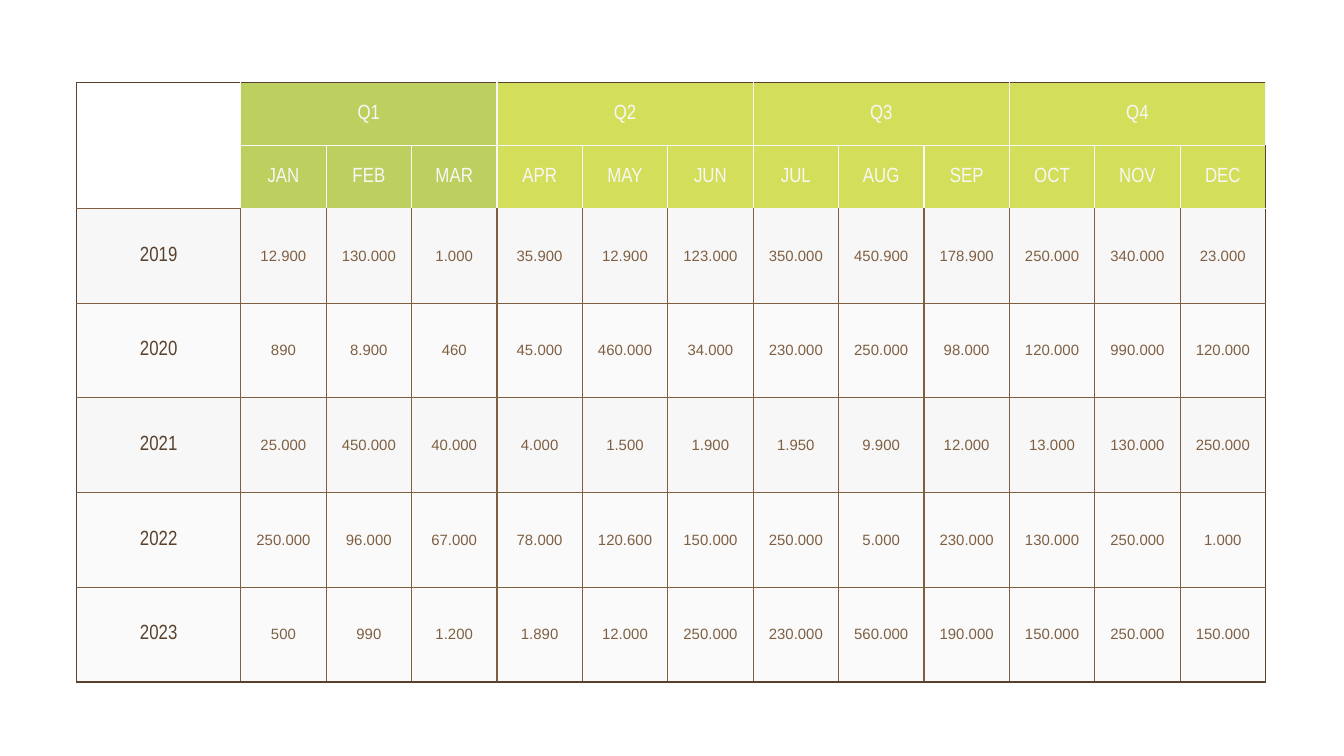
from lxml.etree import SubElement
from pptx import Presentation
from pptx.dml.color import RGBColor
from pptx.enum.text import MSO_ANCHOR, PP_ALIGN
from pptx.oxml.ns import qn
from pptx.util import Cm, Pt

COLORS = {
    "first_quarter": "BDCF5E",
    "quarter": "D3DE5A",
    "light": "F7F7F7",
    "frame": "58412D",
    "grid": "7F5F42",
}
MONTHS = "JAN FEB MAR APR MAY JUN JUL AUG SEP OCT NOV DEC".split()
YEARS = {
    "2019": "12.900 130.000 1.000 35.900 12.900 123.000 350.000 450.900 178.900 250.000 340.000 23.000",
    "2020": "890 8.900 460 45.000 460.000 34.000 230.000 250.000 98.000 120.000 990.000 120.000",
    "2021": "25.000 450.000 40.000 4.000 1.500 1.900 1.950 9.900 12.000 13.000 130.000 250.000",
    "2022": "250.000 96.000 67.000 78.000 120.600 150.000 250.000 5.000 230.000 130.000 250.000 1.000",
    "2023": "500 990 1.200 1.890 12.000 250.000 230.000 560.000 190.000 150.000 250.000 150.000",
}
HEADER_ROWS = 2
SOLID_YEARS = ("2019", "2021")
CELL_FORMAT = {
    "margin_left": Cm(0.1), "margin_right": Cm(0.1),
    "margin_top": Cm(0.05), "margin_bottom": Cm(0.05),
    "vertical_anchor": MSO_ANCHOR.MIDDLE,
}
LABEL_FONT = {"name": "Arial Narrow", "size": Pt(11)}
VALUE_FONT = {"name": "Arial", "size": Pt(8)}


def is_header(row, col):
    return row < HEADER_ROWS and col > 0


def add_border(cell, side, color):
    ln = SubElement(cell._tc.get_or_add_tcPr(), qn(f"a:ln{side}"), w=str(Pt(0.75)))
    fill = SubElement(ln, qn("a:solidFill"))
    SubElement(fill, qn("a:srgbClr"), val=COLORS[color])


prs = Presentation()
prs.slide_width, prs.slide_height = Cm(25.4), Cm(14.29)
s = prs.slides.add_slide(prs.slide_layouts[6])

# Cell texts: quarters, months, then one row per year
rows = [[""] + [f"Q{i // 3 + 1}" if i % 3 == 0 else "" for i in range(12)], [""] + MONTHS]
rows += [[year] + values.split() for year, values in YEARS.items()]
n_rows, n_cols = len(rows), len(rows[0])

# Table grid
width, label_width = Cm(22.47), Cm(3.1)
header_height, year_height = Cm(1.19), Cm(1.79)
height = HEADER_ROWS * header_height + len(YEARS) * year_height
table = s.shapes.add_table(n_rows, n_cols, Cm(1.45), Cm(1.56), width, height).table
table.first_row = table.horz_banding = False
for i, column in enumerate(table.columns):
    column.width = (width - label_width) // len(MONTHS) if i else label_width
for i, row in enumerate(table.rows):
    row.height = header_height if i < HEADER_ROWS else year_height

# Merged corner and quarter headings
table.cell(0, 0).merge(table.cell(1, 0))
for first in range(1, n_cols, 3):
    table.cell(0, first).merge(table.cell(0, first + 2))

# Cells
for r, texts in enumerate(rows):
    for c, text in enumerate(texts):
        cell = table.cell(r, c)
        for name, value in CELL_FORMAT.items():
            setattr(cell, name, value)

        # Borders: dark outer frame, light around headings, brown elsewhere
        neighbours = {"L": (r, c - 1), "R": (r, c + 1), "T": (r - 1, c), "B": (r + 1, c)}
        for side, (nr, nc) in neighbours.items():
            if not (0 <= nr < n_rows and 0 <= nc < n_cols):
                add_border(cell, side, "frame")
            elif is_header(r, c) or is_header(nr, nc):
                add_border(cell, side, "light")
            else:
                add_border(cell, side, "grid")

        # Fill
        if r < HEADER_ROWS and c == 0:
            cell.fill.background()
            continue
        if is_header(r, c):
            fill = "first_quarter" if c <= 3 else "quarter"
        else:
            fill = "light"
        cell.fill.solid()
        cell.fill.fore_color.rgb = RGBColor.from_string(COLORS[fill])
        if r >= HEADER_ROWS and texts[0] not in SOLID_YEARS:
            color = cell._tc.tcPr.find(qn("a:solidFill"))[0]
            SubElement(color, qn("a:alpha"), val="50000")

        # Text
        if not text:
            continue
        p = cell.text_frame.paragraphs[0]
        p.alignment = PP_ALIGN.CENTER
        run = p.add_run()
        run.text = text
        if is_header(r, c):
            font, color = LABEL_FONT, "light"
        elif c == 0:
            font, color = LABEL_FONT, "frame"
        else:
            font, color = VALUE_FONT, "grid"
        for name, value in font.items():
            setattr(run.font, name, value)
        run.font.color.rgb = RGBColor.from_string(COLORS[color])

prs.save("out.pptx")
